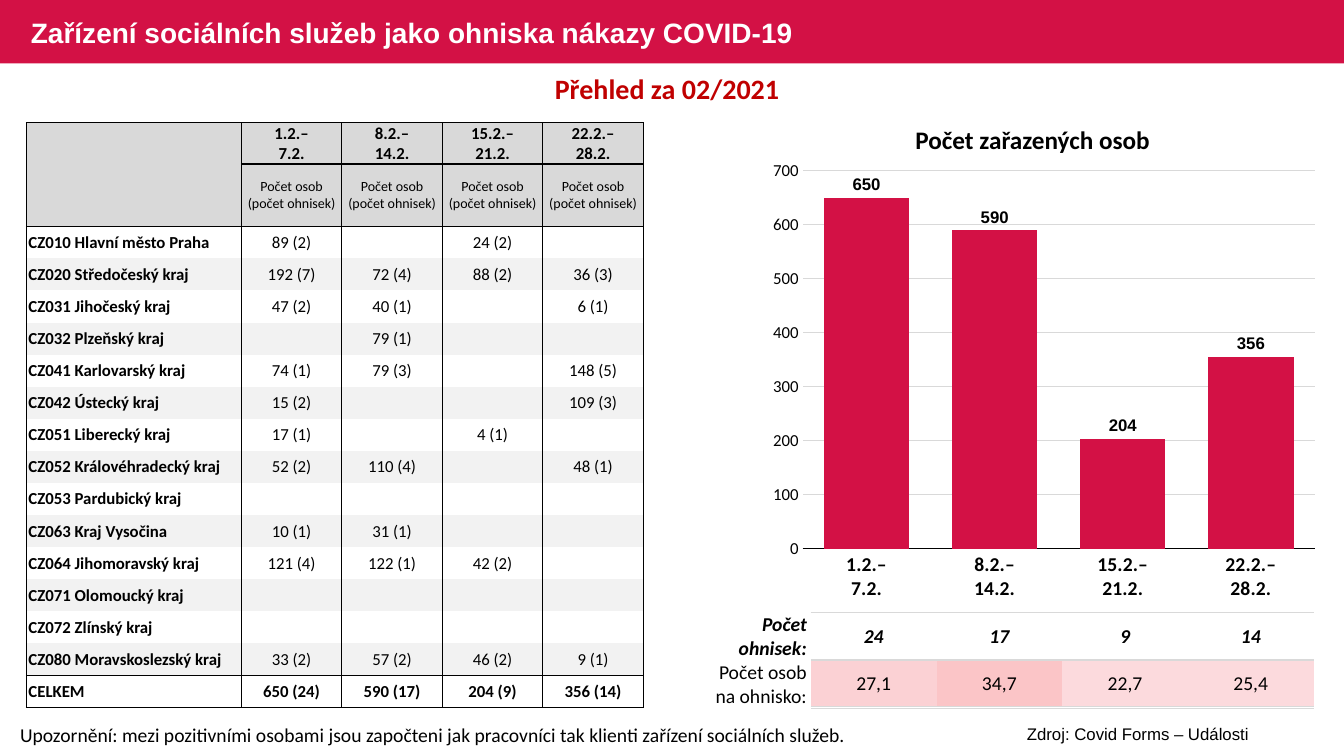
from lxml.etree import SubElement
from pptx import Presentation
from pptx.chart.data import CategoryChartData
from pptx.dml.color import RGBColor
from pptx.enum.chart import XL_CHART_TYPE, XL_LABEL_POSITION, XL_TICK_MARK
from pptx.enum.shapes import MSO_SHAPE
from pptx.enum.text import MSO_ANCHOR, PP_ALIGN
from pptx.oxml import parse_xml
from pptx.oxml.ns import nsdecls, qn
from pptx.util import Pt

CRIMSON, BLACK, WHITE = "D31145", "000000", "FFFFFF"
HEADER_GREY, BAND_GREY, RULE_GREY = "D9D9D9", "F2F2F2", "D9D9D9"
PLAIN_TABLE = "{2D5ABB26-0587-4C30-8999-92F81FD0307C}"

WEEKS = ["1.2.–\n7.2.", "8.2.–\n14.2.", "15.2.–\n21.2.", "22.2.–\n28.2."]
PERSONS = [650, 590, 204, 356]
REGIONS = [
    ["CZ010 Hlavní město Praha", "89 (2)", "", "24 (2)", ""],
    ["CZ020 Středočeský kraj", "192 (7)", "72 (4)", "88 (2)", "36 (3)"],
    ["CZ031 Jihočeský kraj", "47 (2)", "40 (1)", "", "6 (1)"],
    ["CZ032 Plzeňský kraj", "", "79 (1)", "", ""],
    ["CZ041 Karlovarský kraj", "74 (1)", "79 (3)", "", "148 (5)"],
    ["CZ042 Ústecký kraj", "15 (2)", "", "", "109 (3)"],
    ["CZ051 Liberecký kraj", "17 (1)", "", "4 (1)", ""],
    ["CZ052 Královéhradecký kraj", "52 (2)", "110 (4)", "", "48 (1)"],
    ["CZ053 Pardubický kraj", "", "", "", ""],
    ["CZ063 Kraj Vysočina", "10 (1)", "31 (1)", "", ""],
    ["CZ064 Jihomoravský kraj", "121 (4)", "122 (1)", "42 (2)", ""],
    ["CZ071 Olomoucký kraj", "", "", "", ""],
    ["CZ072 Zlínský kraj", "", "", "", ""],
    ["CZ080 Moravskoslezský kraj", "33 (2)", "57 (2)", "46 (2)", "9 (1)"],
]
TOTALS = ["CELKEM", "650 (24)", "590 (17)", "204 (9)", "356 (14)"]
OUTBREAK_LABELS = ["Počet ohnisek:", "Počet osob na ohnisko:"]
OUTBREAK_VALUES = [["24", "17", "9", "14"], ["27,1", "34,7", "22,7", "25,4"]]
HEAT = ["FBD1D4", "FBC5C7", "FCDADD", "FCDADD"]


def color(hex_string):
    return RGBColor.from_string(hex_string)


def set_format(target, **values):
    for key, value in values.items():
        setattr(target, key, value)


def set_font(font, size, hex_color=BLACK, name="Calibri", bold=False, italic=False):
    set_format(font, size=Pt(size), name=name, bold=bold, italic=italic)
    font.color.rgb = color(hex_color)


def write(paragraph, text, align, **font):
    paragraph.text = text
    paragraph.alignment = align
    for run in paragraph.runs:
        set_font(run.font, **font)


def add_label(slide, box, text, align=PP_ALIGN.LEFT, anchor=MSO_ANCHOR.TOP, **font):
    frame = slide.shapes.add_textbox(*map(Pt, box)).text_frame
    set_format(frame, word_wrap=True, vertical_anchor=anchor)
    write(frame.paragraphs[0], text, align, **font)


def add_plain_table(slide, box, widths, heights):
    table = slide.shapes.add_table(len(heights), len(widths), *map(Pt, box)).table
    set_format(table, first_row=False, horz_banding=False)
    table._tbl.tblPr.find(qn("a:tableStyleId")).text = PLAIN_TABLE
    for column, width in zip(table.columns, widths):
        column.width = Pt(width)
    for row, height in zip(table.rows, heights):
        row.height = Pt(height)
    return table


def fill_cell(cell, text, fill, borders, align=PP_ALIGN.CENTER, left=0.72, right=0.72, **font):
    """borders maps a side (L, R, T, B) to a colour and a width."""
    properties = cell._tc.get_or_add_tcPr()
    for edge in "LRTB":
        hex_color, width = borders.get(edge, (None, 0))
        paint = (f'<a:solidFill><a:srgbClr val="{hex_color}"/></a:solidFill>'
                 if hex_color else "<a:noFill/>")
        properties.append(parse_xml(
            f'<a:ln{edge} {nsdecls("a")} w="{Pt(width)}">{paint}</a:ln{edge}>'))
    if fill:
        cell.fill.solid()
        cell.fill.fore_color.rgb = color(fill)
    else:
        cell.fill.background()
    set_format(cell, vertical_anchor=MSO_ANCHOR.MIDDLE, margin_left=Pt(left),
               margin_right=Pt(right), margin_top=Pt(0.5), margin_bottom=Pt(0))
    write(cell.text_frame.paragraphs[0], text, align, **font)


def add_heading(slide, box):
    left, top, width, height = box
    # Title band
    band = slide.shapes.add_shape(MSO_SHAPE.RECTANGLE, *map(Pt, (left, top, width, 45.2)))
    band.shadow.inherit = False
    band.fill.solid()
    band.fill.fore_color.rgb = color(CRIMSON)
    band.line.fill.background()
    add_label(slide, (left + 15, top + 0.7, 585, 45.2),
              "Zařízení sociálních služeb jako ohniska nákazy COVID-19",
              anchor=MSO_ANCHOR.MIDDLE, size=20, hex_color=WHITE, name="Arial", bold=True)
    # Subtitle
    add_label(slide, (left + 15, top + 47.5, 923, height - 47.5), "Přehled za 02/2021",
              PP_ALIGN.CENTER, size=20, hex_color="C00000", bold=True)


def add_region_table(slide, box):
    width = box[2]
    week_width = 71.8
    rows = [["", *WEEKS], ["", *["Počet osob (počet ohnisek)"] * 4], *REGIONS, TOTALS]
    heights = [29.6, 44.5] + [22.92] * (len(rows) - 2)
    table = add_plain_table(slide, box, [width - 4 * week_width] + [week_width] * 4, heights)
    last = len(rows) - 1
    solid, thin = (BLACK, 1), (BLACK, 0.5)
    for r, texts in enumerate(rows):
        for c, text in enumerate(texts):
            borders = {"L": solid, "R": solid}
            if r in (0, last) or (r == 1 and c):
                borders["T"] = solid
            if r >= last - 1 or (r == 0 and c):
                borders["B"] = solid
            if r == 1:
                borders["B"] = thin
            if r == 2:
                borders["T"] = thin
            banded = BAND_GREY if r % 2 and r < last else None
            fill_cell(table.cell(r, c), text, HEADER_GREY if r < 2 else banded, borders,
                      align=PP_ALIGN.CENTER if c else PP_ALIGN.LEFT,
                      left=0.72 if c else 1.44,
                      size=10 if r == 1 else 12, bold=c == 0 or r in (0, last))


def add_persons_chart(slide, box):
    left, top, width, height = box
    title_height = 23
    data = CategoryChartData()
    data.categories = WEEKS
    data.add_series("Series 1", PERSONS)
    chart_height = height - title_height
    chart = slide.shapes.add_chart(
        XL_CHART_TYPE.COLUMN_CLUSTERED,
        *map(Pt, (left, top + title_height, width, chart_height)), data).chart
    set_format(chart, has_legend=False, has_title=False)
    set_font(chart.font, 14, name="Arial", bold=True)

    # Columns and their values
    plot = chart.plots[0]
    set_format(plot, gap_width=50, vary_by_categories=False)
    columns = plot.series[0]
    set_format(columns.data_labels, show_value=True, position=XL_LABEL_POSITION.OUTSIDE_END)
    set_font(columns.data_labels.font, 12, name="Arial", bold=True)
    columns.format.fill.solid()
    columns.format.fill.fore_color.rgb = color(CRIMSON)

    # Axes
    weeks, persons = chart.category_axis, chart.value_axis
    for axis in (weeks, persons):
        set_format(axis, major_tick_mark=XL_TICK_MARK.NONE, minor_tick_mark=XL_TICK_MARK.NONE)
    set_font(weeks.tick_labels.font, 14, bold=True)
    set_font(persons.tick_labels.font, 12)
    set_format(persons, minimum_scale=0, maximum_scale=700, major_unit=100)
    persons.format.line.fill.background()
    for line, hex_color in ((weeks.format.line, BLACK),
                            (persons.major_gridlines.format.line, RULE_GREY)):
        line.color.rgb = color(hex_color)
        line.width = Pt(0.75)

    # Plot area, as shares of the chart
    area = chart._chartSpace.chart.plotArea
    for old in area.findall(qn("c:layout")):
        area.remove(old)
    layout = parse_xml(f'<c:layout {nsdecls("c")}><c:manualLayout/></c:layout>')
    for tag, value in (("layoutTarget", "inner"), ("xMode", "edge"), ("yMode", "edge"),
                       ("x", 29 / width), ("y", 13.8 / chart_height),
                       ("w", 366 / width), ("h", 270 / chart_height)):
        SubElement(layout[0], qn(f"c:{tag}")).set("val", str(value))
    area.insert(0, layout)

    # Chart heading
    add_label(slide, (left, top, 386.6, 29), "Počet zařazených osob", PP_ALIGN.CENTER,
              size=18, bold=True)


def add_outbreak_tables(slide, box):
    left, top, width, height = box
    label_width = 72.5
    values_width = width - label_width
    rule = {"T": (RULE_GREY, 1), "B": (RULE_GREY, 1)}
    values = add_plain_table(slide, (left + label_width, top, values_width, height),
                             [values_width / 4] * 4, [height / 2] * 2)
    labels = add_plain_table(slide, box, [label_width] + [values_width / 7] * 7,
                             [height / 2] * 2)
    for r, label in enumerate(OUTBREAK_LABELS):
        font = {"size": 14, "bold": r == 0, "italic": r == 0}
        for c, value in enumerate(OUTBREAK_VALUES[r]):
            fill_cell(values.cell(r, c), value, HEAT[c] if r else None, rule, **font)
        for c, text in enumerate([label] + [""] * 7):
            fill_cell(labels.cell(r, c), text, None, rule if c else {},
                      PP_ALIGN.RIGHT, right=2.88, **font)


def add_footer(slide, box):
    left, top, width, height = box
    add_label(slide, (left, top, 613, height),
              "Upozornění: mezi pozitivními osobami jsou započteni jak pracovníci "
              "tak klienti zařízení sociálních služeb.", size=14)
    add_label(slide, (left + width - 279.5, top + 0.7, 279.5, height),
              "Zdroj: Covid Forms – Události", PP_ALIGN.CENTER, size=12, name="Arial")


def main():
    presentation = Presentation()
    set_format(presentation, slide_width=Pt(960), slide_height=Pt(540))
    slide = presentation.slides.add_slide(presentation.slide_layouts[6])
    add_heading(slide, (0, 0, 960, 79))
    add_region_table(slide, (18.9, 87.6, 440.7, 417.9))
    add_persons_chart(slide, (544.3, 85.3, 404, 350.6))
    add_outbreak_tables(slide, (506.7, 437.6, 431.7, 67))
    add_footer(slide, (7.2, 512.7, 945.4, 24.3))
    presentation.save("out.pptx")


if __name__ == "__main__":
    main()
